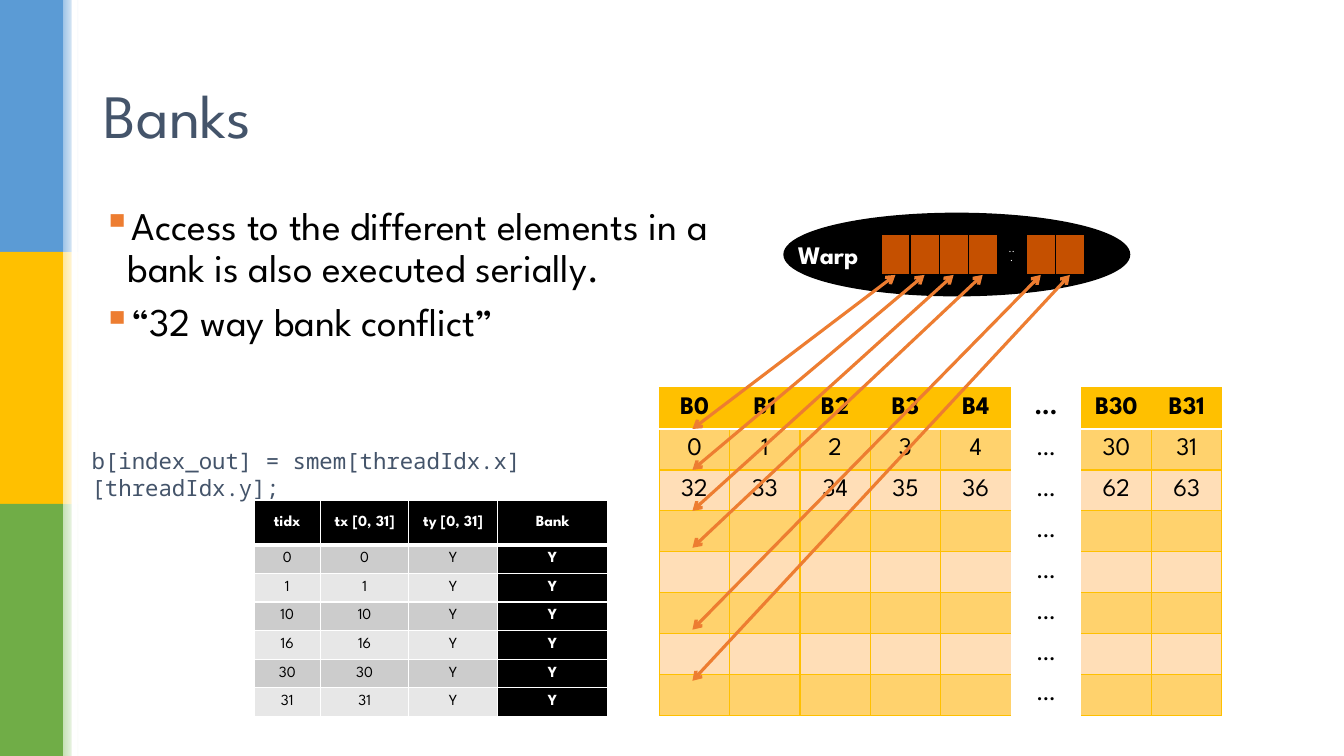
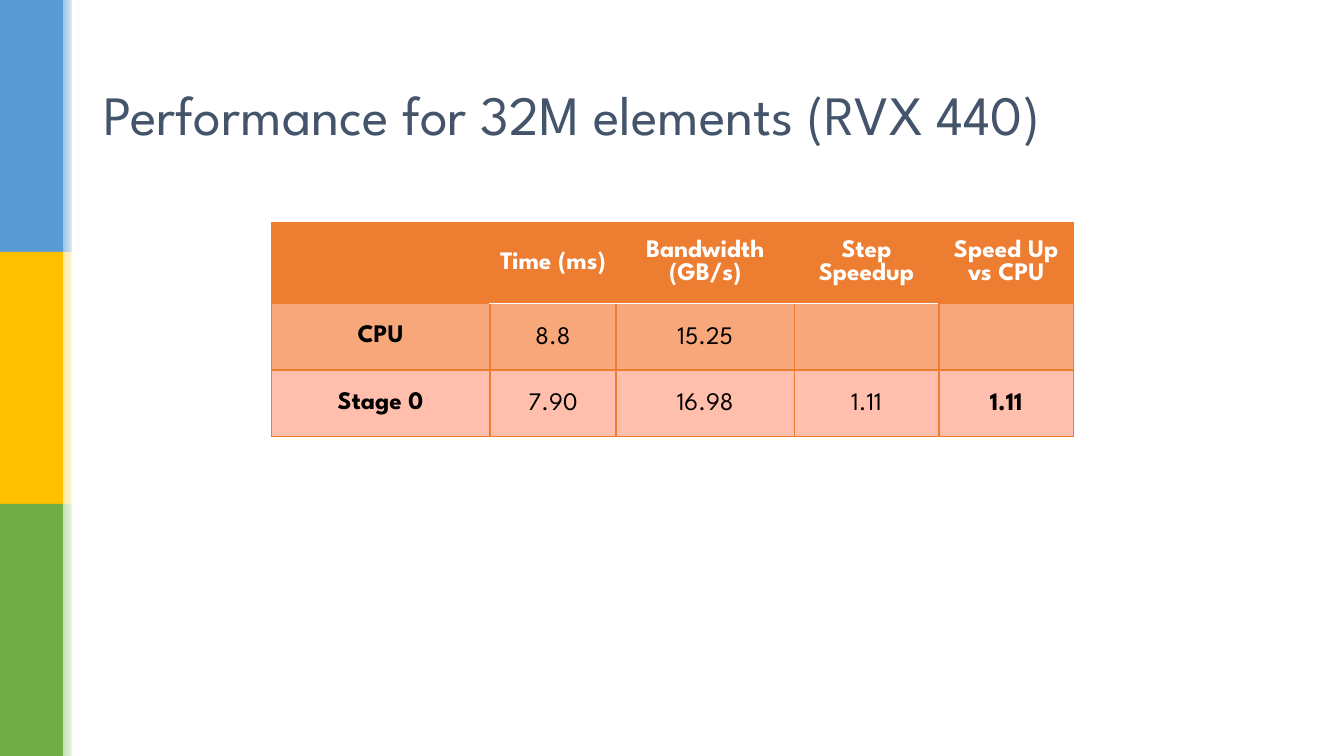
import dataclasses

import lxml.etree
import pptx
import pptx.dml.color
import pptx.enum.shapes
import pptx.enum.text
import pptx.oxml.ns
import pptx.util

SLIDE_WIDTH, SLIDE_HEIGHT = 13.33, 7.5
FONT, CODE_FONT = "League Spartan", "Noto Sans Mono"
BLACK, WHITE, SLATE = "000000", "FFFFFF", "44546A"
ORANGE, GOLD, RUST = "ED7D31", "FFC000", "C55000"
BANDS = [("5B9BD5", "9DC3E6"), (GOLD, "FFE699"), ("70AD47", "C5E0B4")]
LEFT, CENTER = pptx.enum.text.PP_ALIGN.LEFT, pptx.enum.text.PP_ALIGN.CENTER
TOP, MIDDLE = pptx.enum.text.MSO_ANCHOR.TOP, pptx.enum.text.MSO_ANCHOR.MIDDLE
SHAPES = pptx.enum.shapes.MSO_SHAPE


@dataclasses.dataclass
class Box:
    left: float
    top: float
    width: float
    height: float

    def inner(self, left, top, width, height):
        """A box given as shares of this one."""
        return Box(self.left + left * self.width, self.top + top * self.height,
                   width * self.width, height * self.height)

    def point(self, across, down):
        return (pptx.util.Inches(self.left + across * self.width),
                pptx.util.Inches(self.top + down * self.height))

    def lengths(self):
        return [pptx.util.Inches(value) for value in dataclasses.astuple(self)]


PAGE = Box(0, 0, SLIDE_WIDTH, SLIDE_HEIGHT)


def color(value):
    return pptx.dml.color.RGBColor.from_string(value)


def add_element(parent, tag, **attributes):
    return lxml.etree.SubElement(parent, pptx.oxml.ns.qn(tag), attributes)


def set_values(target, values):
    for name, value in values.items():
        setattr(target, name, value)


def write(paragraph, text, size, ink, bold=False, font=FONT):
    run = paragraph.add_run()
    run.text = text
    set_values(run.font, {"name": font, "size": pptx.util.Pt(size), "bold": bold})
    run.font.color.rgb = color(ink)


def add_text(slide, box, anchor=TOP, inset=None):
    frame = slide.shapes.add_textbox(*box.lengths()).text_frame
    set_values(frame, {"word_wrap": True, "vertical_anchor": anchor})
    if inset is not None:
        sides = ("left", "right", "top", "bottom")
        set_values(frame, {f"margin_{side}": pptx.util.Inches(inset) for side in sides})
    return frame


def add_filled(slide, box, fill, kind=SHAPES.RECTANGLE):
    shape = slide.shapes.add_shape(kind, *box.lengths())
    shape.shadow.inherit = False
    shape.fill.solid()
    shape.fill.fore_color.rgb = color(fill)
    shape.line.fill.background()
    return shape


# Regions shared by both slides
def add_bands(slide, box):
    share = 1 / len(BANDS)
    for index, (strong, pale) in enumerate(BANDS):
        add_filled(slide, box.inner(0, index * share, 0.8, share), strong)
        fade = add_filled(slide, box.inner(0.8, index * share, 0.2, share), pale)
        fade.fill.gradient()
        fade.fill.gradient_angle = 0
        for stop, tone in zip(fade.fill.gradient_stops, (pale, WHITE)):
            stop.color.rgb = color(tone)
    add_filled(slide, box.inner(0.91, 0, 0.07, 1), WHITE)


def add_slide(presentation, title, size):
    slide = presentation.slides.add_slide(presentation.slide_layouts[6])
    add_bands(slide, Box(0, 0, 0.78, SLIDE_HEIGHT))
    frame = add_text(slide, PAGE.inner(0.07, 0.05, 0.86, 0.2), MIDDLE)
    write(frame.paragraphs[0], title, size, SLATE)
    return slide


# Tables
def set_borders(cell, borders):
    """Borders are (color, points) or None, in the order left, right, top, bottom."""
    properties = cell._tc.get_or_add_tcPr()
    for side, border in zip("LRTB", borders):
        ink, points = border or (None, 0)
        line = add_element(properties, f"a:ln{side}", w=str(int(pptx.util.Pt(points))))
        if border:
            add_element(add_element(line, "a:solidFill"), "a:srgbClr", val=ink)
        else:
            add_element(line, "a:noFill")


def add_table(slide, box, columns, rows, texts, style):
    """Columns and rows are weights; style(row, column) gives the look of a cell."""
    shape = slide.shapes.add_table(len(rows), len(columns), *box.lengths())
    table = shape.table
    for column, weight in zip(table.columns, columns):
        column.width = pptx.util.Inches(box.width * weight / sum(columns))
    for row, weight in zip(table.rows, rows):
        row.height = pptx.util.Inches(box.height * weight / sum(rows))
    for row, line in enumerate(texts):
        for column, text in enumerate(line):
            look = style(row, column)
            cell = table.cell(row, column)
            set_borders(cell, look["borders"])
            cell.fill.solid()
            cell.fill.fore_color.rgb = color(look["fill"])
            cell.vertical_anchor = MIDDLE
            set_values(cell, look.get("margins", {}))
            if text:
                paragraph = cell.text_frame.paragraphs[0]
                set_values(paragraph, {"alignment": CENTER,
                                       "line_spacing": look.get("spacing", 1.0)})
                write(paragraph, text, look["size"], look["ink"], look["bold"])


def add_bank_table(slide, box):
    gap = 5
    edge, header_edge = (GOLD, 1), (WHITE, 1.5)
    texts = [["B0", "B1", "B2", "B3", "B4", "...", "B30", "B31"]]
    for start in (0, 32):
        values = [str(start + bank) for bank in (0, 1, 2, 3, 4, 30, 31)]
        texts.append(values[:gap] + ["…"] + values[gap:])
    texts += [[""] * gap + ["…"] + [""] * 2 for _ in range(5)]

    def style(row, column):
        look = {"size": 18, "ink": BLACK, "bold": row == 0}
        if column == gap:
            return look | {"fill": WHITE, "borders": [None] * 4}
        fill = GOLD if row == 0 else ("FFDEB7", "FFD26D")[row % 2]
        return look | {"fill": fill, "borders": [
            None if column == gap + 1 else edge,
            None if column == gap - 1 else edge,
            header_edge if row == 1 else edge,
            header_edge if row == 0 else edge]}

    add_table(slide, box, [1] * 8, [1] * 8, texts, style)


def add_thread_table(slide, box):
    texts = [["tidx", "tx [0, 31]", "ty [0, 31]", "Bank"]]
    texts += [[thread, thread, "Y", "Y"] for thread in ("0", "1", "10", "16", "30", "31")]

    def style(row, column):
        strong = row == 0 or column == 3
        thin, thick = (WHITE, 1), (WHITE, 3)
        return {"size": 11, "bold": strong, "ink": WHITE if strong else BLACK,
                "fill": BLACK if strong else ("E7E7E7", "CCCCCC")[row % 2],
                "borders": [thin, thin, thick if row == 1 else thin,
                            thick if row == 0 else thin]}

    add_table(slide, box, [0.66, 0.88, 0.88, 1.1], [0.44] + [0.28] * 6, texts, style)


def add_performance_table(slide, box):
    texts = [["", "Time (ms)", "Bandwidth (GB/s)", "Step Speedup", "Speed Up vs CPU"],
             ["CPU", "8.8", "15.25", "", ""],
             ["Stage 0", "7.90", "16.98", "1.11", "1.11"]]
    fills = [ORANGE, "F8A77B", "FFBFAC"]
    margins = {f"margin_{side}": pptx.util.Inches(0.1)
               for side in ("left", "right", "top", "bottom")}
    edge, heavy, header_edge = (ORANGE, 1), (ORANGE, 1.5), (WHITE, 1.5)

    def style(row, column):
        divider = header_edge if column in (1, 2, 3) else edge
        return {"size": 18, "ink": BLACK if row else WHITE, "fill": fills[row],
                "bold": row == 0 or column in (0, 4), "margins": margins,
                "spacing": 1.15 if row and column else 1.0,
                "borders": [heavy if column in (1, 4) else edge,
                            heavy if column in (0, 3) else edge,
                            divider if row == 1 else edge,
                            divider if row == 0 else edge]}

    add_table(slide, box, [2.17, 1.25, 1.77, 1.43, 1.34], [1] * 3, texts, style)


# Regions of the bank conflict slide
def add_bullets(slide, box, texts):
    frame = add_text(slide, box)
    indent = pptx.util.Inches(0.25)
    for index, text in enumerate(texts):
        paragraph = frame.add_paragraph() if index else frame.paragraphs[0]
        properties = paragraph._p.get_or_add_pPr()
        properties.set("marL", str(int(indent)))
        properties.set("indent", str(-int(indent)))
        add_element(add_element(properties, "a:buClr"), "a:srgbClr", val=ORANGE)
        add_element(properties, "a:buChar", char="▪")
        set_values(paragraph, {"alignment": LEFT, "line_spacing": 0.9,
                               "space_before": pptx.util.Pt(8.4 if index else 0)})
        write(paragraph, text, 28, BLACK)


def add_warp(slide, box):
    """Draws the warp and returns the box of its threads."""
    ellipse = add_filled(slide, box, BLACK, SHAPES.OVAL)
    ellipse.line.color.rgb = color(BLACK)
    ellipse.line.width = pptx.util.Pt(1.5)
    label = add_text(slide, box.inner(0.01, 0.19, 0.26, 0.62), inset=0.1)
    write(label.paragraphs[0], "Warp", 18, WHITE, True)
    threads = box.inner(0.28, 0.25, 0.59, 0.5)

    def style(row, column):
        return {"size": 7, "ink": WHITE, "bold": False,
                "fill": BLACK if column == 4 else RUST, "borders": [(BLACK, 1)] * 4}

    add_table(slide, threads, [1] * 7, [1], [[""] * 4 + ["..."] + [""] * 2], style)
    return threads


def add_access_arrows(slide, threads, banks):
    """Joins each thread to a row of the first bank."""
    for thread, row in ((0, 1), (1, 2), (2, 3), (3, 3.9), (5, 5.9), (6, 7.15)):
        arrow = slide.shapes.add_connector(
            pptx.enum.shapes.MSO_CONNECTOR.STRAIGHT,
            *threads.point((thread + 0.5) / 7, 1), *banks.point(0.47 / 8, row / 8))
        arrow.line.color.rgb = color(ORANGE)
        arrow.line.width = pptx.util.Pt(2.25)
        line = arrow.line._get_or_add_ln()
        for end in ("a:headEnd", "a:tailEnd"):
            add_element(line, end, type="arrow")
        add_element(arrow._element.spPr, "a:effectLst")


def build_banks_slide(presentation):
    slide = add_slide(presentation, "Banks", 44)
    add_bullets(slide, Box(0.92, 2, 6.96, 4.76), [
        "Access to the different elements in a bank is also executed serially.",
        "“32 way bank conflict”"])
    code = add_text(slide, Box(0.81, 4.34, 5.88, 0.47), inset=0.1)
    write(code.paragraphs[0], "b[index_out] = smem[threadIdx.x][threadIdx.y];",
          16, SLATE, font=CODE_FONT)
    banks = Box(6.54, 3.85, 5.58, 3.25)
    threads = add_warp(slide, Box(7.78, 2.12, 3.42, 0.81))
    add_bank_table(slide, banks)
    add_access_arrows(slide, threads, banks)
    add_thread_table(slide, Box(2.52, 4.96, 3.51, 2.14))


def build_performance_slide(presentation):
    slide = add_slide(presentation, "Performance for 32M elements (RVX 440)", 39.6)
    add_performance_table(slide, Box(2.69, 2.21, 7.96, 1.98))


def main():
    presentation = pptx.Presentation()
    presentation.slide_width = pptx.util.Inches(SLIDE_WIDTH)
    presentation.slide_height = pptx.util.Inches(SLIDE_HEIGHT)
    build_banks_slide(presentation)
    build_performance_slide(presentation)
    presentation.save("out.pptx")


if __name__ == "__main__":
    main()
